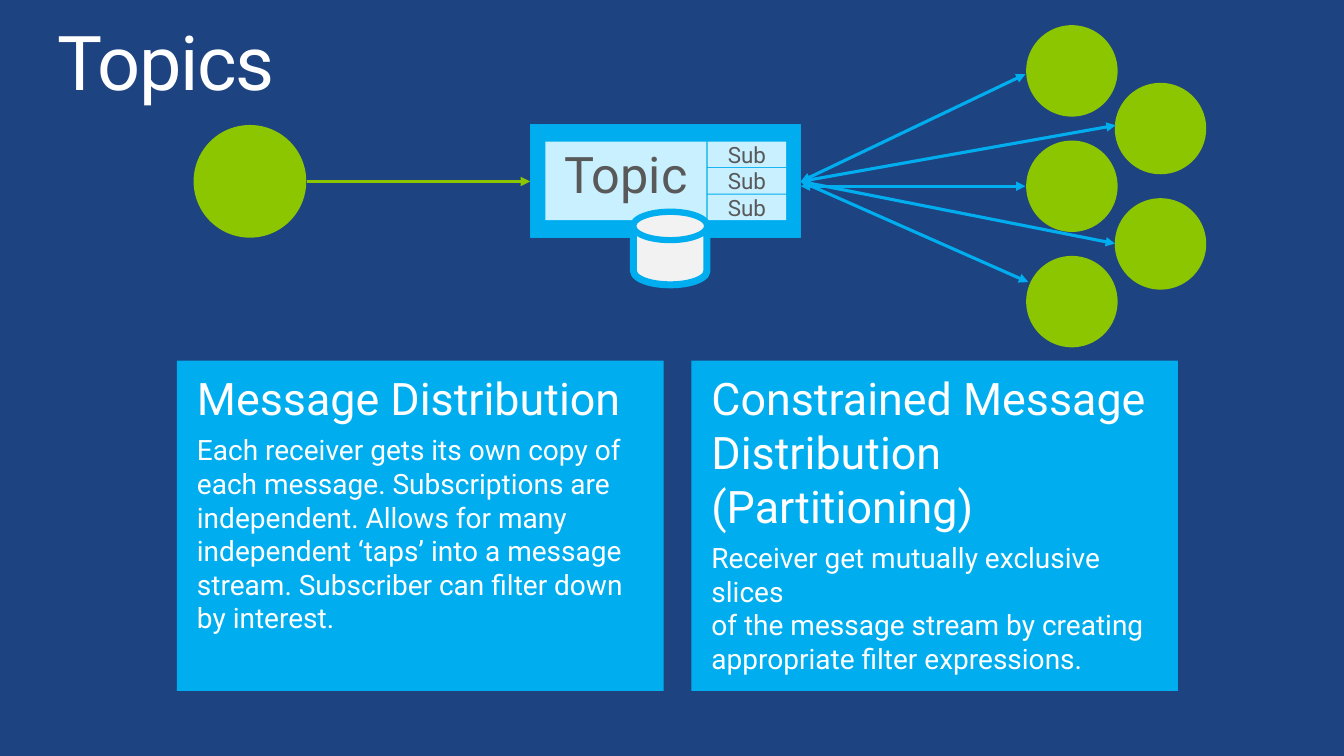
from lxml import etree
from pptx import Presentation
from pptx.dml.color import RGBColor
from pptx.enum import shapes, text
from pptx.oxml.ns import qn
from pptx.util import Pt

BLUE, GREEN, PALE, GREY, WHITE = "00AEEF", "8CC600", "C9F0FF", "595959", "FFFFFF"
MSO = shapes.MSO_SHAPE
rgb = RGBColor.from_string

prs = Presentation()
prs.slide_width, prs.slide_height = Pt(960), Pt(540)
s = prs.slides.add_slide(prs.slide_layouts[5])
s.background.fill.solid()
s.background.fill.fore_color.rgb = rgb("1D4380")


def add_box(kind, x, y, w, h, fill, paras=(), color=WHITE, margins=(0, 0, 0, 0)):
    """Add a filled shape; paras holds (text, size) pairs."""
    sp = s.shapes.add_shape(kind, Pt(x), Pt(y), Pt(w), Pt(h))
    sp.shadow.inherit = False
    sp.fill.solid()
    sp.fill.fore_color.rgb = rgb(fill)
    sp.line.fill.background()
    tf = sp.text_frame
    tf.word_wrap = True
    tf.margin_left, tf.margin_top, tf.margin_right, tf.margin_bottom = map(Pt, margins)
    for i, (words, size) in enumerate(paras):
        p = tf.paragraphs[0] if i == 0 else tf.add_paragraph()
        p.text = words
        for r in p.runs:
            r.font.name, r.font.size = "Roboto", Pt(size)
            r.font.color.rgb = rgb(color)
    return sp


def add_arrow(x1, y1, x2, y2, color, ends):
    """Add a straight line with a triangle at each of the given ends."""
    c = s.shapes.add_connector(shapes.MSO_CONNECTOR.STRAIGHT, Pt(x1), Pt(y1), Pt(x2), Pt(y2))
    c.line.color.rgb = rgb(color)
    c.line.width = Pt(2.25)
    ln = c.line._get_or_add_ln()
    for end in ends:
        etree.SubElement(ln, qn("a:" + end)).set("type", "triangle")
    etree.SubElement(c._element.spPr, qn("a:effectLst"))


# Title
title = s.shapes.title
title.left, title.top, title.width, title.height = Pt(41), Pt(18), Pt(878), Pt(59)
tf = title.text_frame
tf.text = "Topics"
tf.margin_left = tf.margin_top = tf.margin_right = tf.margin_bottom = 0
tf.vertical_anchor = text.MSO_ANCHOR.TOP
tf.auto_size = text.MSO_AUTO_SIZE.SHAPE_TO_FIT_TEXT
p = tf.paragraphs[0]
p.alignment = text.PP_ALIGN.LEFT
p.line_spacing = 0.9
r = p.runs[0]
r.font.name, r.font.size = "Roboto", Pt(54)
r.font.color.rgb = rgb(WHITE)
r._r.get_or_add_rPr().set("spc", "-100")

# Receivers, staggered in two columns
for i in range(5):
    add_box(MSO.OVAL, 796.3 if i % 2 else 733, 18 + 41.2 * i, 65.3, 65.3, GREEN)

# Arrows between topic and receivers
for y1, x2, y2 in [(129.6, 732.5, 53), (129.6, 797, 89.5), (133, 732.5, 133),
                   (129.6, 796.5, 174), (129.6, 734.5, 201.5)]:
    add_arrow(572, y1, x2, y2, BLUE, ["headEnd", "tailEnd"])

# Sender
add_box(MSO.OVAL, 138.3, 89.3, 80.5, 80.5, GREEN)
add_arrow(219, 129.6, 378.7, 129.6, GREEN, ["tailEnd"])

# Topic with its subscriptions
frame = add_box(MSO.RECTANGLE, 378.7, 89.2, 193.3, 80.6, BLUE)
frame.line.color.rgb = rgb("00AAEA")
frame.line.width = Pt(0.75)
labels = [add_box(MSO.RECTANGLE, 389.5, 101.2, 115, 56, PALE, [("Topic", 36)], GREY,
                  (7.2, 3.6, 7.2, 14.4))]
for i in range(3):
    labels.append(add_box(MSO.RECTANGLE, 505.4, 101.2 + 18.9 * i, 56.2, 18.2, PALE,
                          [("Sub", 16)], GREY))
for sp in labels:
    sp.text_frame.vertical_anchor = text.MSO_ANCHOR.MIDDLE
    sp.text_frame.paragraphs[0].alignment = text.PP_ALIGN.CENTER

# Storage cylinder with a flat lid
can = add_box(MSO.CAN, 452.5, 151.5, 52.5, 52, "F2F2F2")
can.adjustments[0] = 0.38
can.line.color.rgb = rgb(BLUE)
can.line.width = Pt(5)
lid = add_box(MSO.OVAL, 452.5, 151.5, 52.5, 19.8, "F2F2F2")
lid.line.color.rgb = rgb(BLUE)
lid.line.width = Pt(4)

# Explanations
notes = [
    ("Message Distribution",
     "Each receiver gets its own copy of each message. Subscriptions are independent. "
     "Allows for many independent ‘taps’ into a message stream. "
     "Subscriber can filter down by interest."),
    ("Constrained Message Distribution (Partitioning)",
     "Receiver get mutually exclusive slices \v"
     "of the message stream by creating appropriate filter expressions."),
]
for i, (head, body) in enumerate(notes):
    sp = add_box(MSO.RECTANGLE, 126.3 + 367.5 * i, 257.6, 347.7, 236, BLUE,
                 [(head, 32), (body, 20)], WHITE, (14.4, 7.2, 7.2, 0))
    sp.text_frame.vertical_anchor = text.MSO_ANCHOR.TOP
    for p in sp.text_frame.paragraphs:
        p.alignment = text.PP_ALIGN.LEFT
    sp.text_frame.paragraphs[0].space_after = Pt(6)

prs.save("out.pptx")
